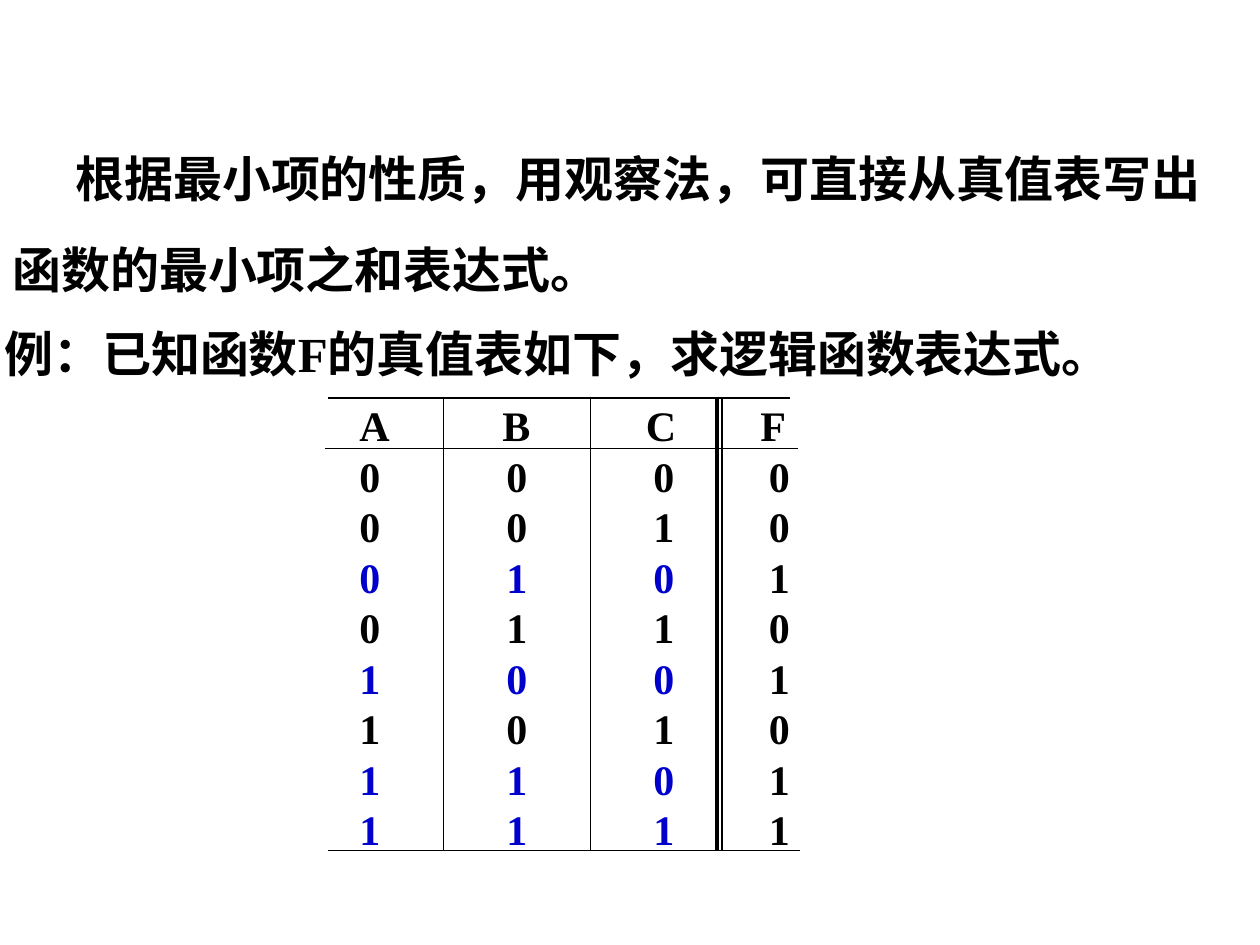
from dataclasses import dataclass
from itertools import product

from lxml.etree import SubElement
from pptx import Presentation
from pptx.dml.color import RGBColor as RGB
from pptx.enum.shapes import MSO_CONNECTOR as Connector
from pptx.enum.text import MSO_ANCHOR as Anchor, MSO_AUTO_SIZE as AutoSize, PP_ALIGN as Align
from pptx.oxml.ns import qn
from pptx.util import Pt


@dataclass(frozen=True)
class Theme:
    ink: RGB = RGB(0, 0, 0)
    minterm: RGB = RGB(0, 0, 0xCC)
    latin: str = "Times New Roman"
    cjk: str = "Noto Sans CJK SC"
    body: float = 28
    cell: float = 24
    thin: float = 0.75
    medium: float = 1.5
    thick: float = 2.25


@dataclass(frozen=True)
class Column:
    label: str
    width: float
    label_inset: float
    digit_inset: float


@dataclass(frozen=True)
class Rule:
    x1: float
    y1: float
    x2: float
    y2: float
    width: float


THEME = Theme()
COLUMNS = [
    Column("A", 66.5, 18.9, 18.9),
    Column("B", 84, 34.1, 36.4),
    Column("C", 72, 32.2, 36.4),
    Column("F", 47.5, 25.5, 30.4),
]
OUTPUTS = [0, 0, 1, 0, 1, 0, 1, 1]
TABLE_LEFT, TABLE_TOP, ROW_HEIGHT = 186.5, 230, 28.8
TOP, HEADER, BOTTOM = 227.5, 256.3, 486
RULES = [
    Rule(187.2, TOP, 451.4, TOP, THEME.medium),
    Rule(185.8, HEADER, 455.8, HEADER, THEME.thin),
    Rule(187.2, BOTTOM, 457.2, BOTTOM, THEME.thin),
    *(Rule(x, TOP, x, BOTTOM, width) for x, width in [
        (253.5, THEME.thin), (337.5, THEME.thin), (409.6, THEME.thick), (412.5, THEME.thin)]),
]


def add_run(p, text: str, *, size: float, font: str = THEME.latin,
            east_asian: str = THEME.cjk, color: RGB = THEME.ink) -> None:
    r = p.add_run()
    r.text = text
    r.font.size = Pt(size)
    r.font.bold = True
    r.font.color.rgb = color
    r.font.name = font
    SubElement(r.font._element, qn("a:ea"), typeface=east_asian)


def add_text_box(slide, left: float, top: float, width: float, height: float, wrap: bool):
    """Add a left-aligned box and return its first paragraph."""
    tf = slide.shapes.add_textbox(Pt(left), Pt(top), Pt(width), Pt(height)).text_frame
    tf.word_wrap = wrap
    tf.auto_size = AutoSize.SHAPE_TO_FIT_TEXT
    p = tf.paragraphs[0]
    p.alignment = Align.LEFT
    return p


def fill_cell(cell, text: str, inset: float, color: RGB) -> None:
    """Write a cell with no fill and no borders."""
    tc_pr = cell._tc.get_or_add_tcPr()
    for side in "LRTB":
        SubElement(SubElement(tc_pr, qn(f"a:ln{side}"), w="0"), qn("a:noFill"))
    cell.fill.background()
    cell.margin_left = Pt(inset)
    cell.margin_right = cell.margin_top = cell.margin_bottom = 0
    cell.vertical_anchor = Anchor.MIDDLE
    p = cell.text_frame.paragraphs[0]
    p.alignment = Align.LEFT
    add_run(p, text, size=THEME.cell, color=color)


def add_truth_table(slide) -> None:
    inputs = product((0, 1), repeat=len(COLUMNS) - 1)
    rows = [[c.label for c in COLUMNS]]
    rows += [[*bits, out] for bits, out in zip(inputs, OUTPUTS)]
    width = sum(c.width for c in COLUMNS)
    table = slide.shapes.add_table(
        len(rows), len(COLUMNS), Pt(TABLE_LEFT), Pt(TABLE_TOP),
        Pt(width), Pt(ROW_HEIGHT * len(rows))).table
    table.first_row = table.horz_banding = False
    for table_column, column in zip(table.columns, COLUMNS):
        table_column.width = Pt(column.width)

    for i, values in enumerate(rows):
        table.rows[i].height = Pt(ROW_HEIGHT)
        for j, (value, column) in enumerate(zip(values, COLUMNS)):
            is_minterm = values[-1] == 1 and j < len(COLUMNS) - 1
            fill_cell(table.cell(i, j), str(value),
                      column.digit_inset if i else column.label_inset,
                      THEME.minterm if is_minterm else THEME.ink)


def add_rule(slide, rule: Rule) -> None:
    line = slide.shapes.add_connector(
        Connector.STRAIGHT, Pt(rule.x1), Pt(rule.y1), Pt(rule.x2), Pt(rule.y2))
    line.line.color.rgb = THEME.ink
    line.line.width = Pt(rule.width)
    SubElement(line._element.spPr, qn("a:effectLst"))


def main() -> None:
    prs = Presentation()
    prs.slide_width, prs.slide_height = Pt(720), Pt(540)
    slide = prs.slides.add_slide(prs.slide_layouts[6])

    p = add_text_box(slide, 0, 62.9, 720, 115.2, wrap=True)
    p.line_spacing = 1.55
    p._p.get_or_add_pPr().set("indent", str(int(Pt(36))))
    add_run(p, "根据最小项的性质，用观察法，可直接从真值表写出函数的最小项之和表达式。",
            size=THEME.body)

    p = add_text_box(slide, -4.6, 181.4, 659.5, 41, wrap=False)
    for text, font in [("例：已知函数", THEME.cjk), ("F", THEME.latin),
                       ("的真值表如下，求逻辑函数表达式。", THEME.cjk)]:
        add_run(p, text, size=THEME.body, font=font)

    add_truth_table(slide)
    for rule in RULES:
        add_rule(slide, rule)
    prs.save("out.pptx")


if __name__ == "__main__":
    main()
